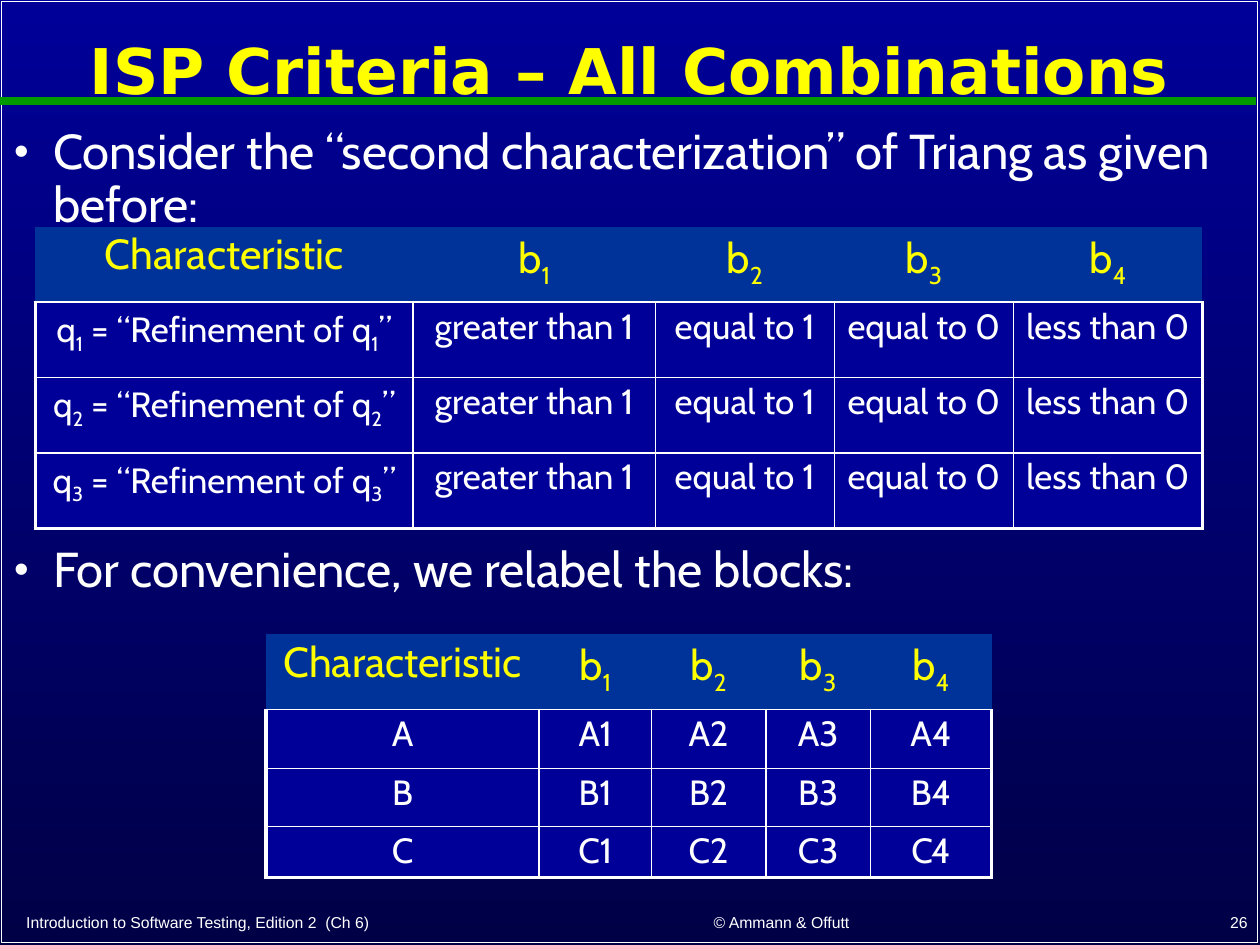
from lxml import etree
from pptx import Presentation
from pptx.dml.color import RGBColor
from pptx.enum.shapes import MSO_CONNECTOR, MSO_SHAPE
from pptx.enum.text import MSO_ANCHOR, MSO_AUTO_SIZE, PP_ALIGN
from pptx.oxml.ns import qn
from pptx.util import Cm, Pt

LEFT, CENTER, RIGHT = PP_ALIGN.LEFT, PP_ALIGN.CENTER, PP_ALIGN.RIGHT
TOP, MIDDLE, BOTTOM = MSO_ANCHOR.TOP, MSO_ANCHOR.MIDDLE, MSO_ANCHOR.BOTTOM

WHITE = RGBColor(0xFF, 0xFF, 0xFF)
YELLOW = RGBColor(0xFF, 0xFF, 0x00)
GREEN = RGBColor(0x00, 0x99, 0x00)
BLUE = RGBColor(0x00, 0x00, 0x99)
NAVY = RGBColor(0x00, 0x00, 0x47)
HEADER_BLUE = RGBColor(0x00, 0x33, 0x99)


def write_text(frame, text, size, font="Cabin", color=WHITE, bold=False,
               align=LEFT, anchor=TOP, spacing=None, before=None, bullet=False):
    """Write one paragraph; the character after each underscore is a subscript."""
    frame.word_wrap = True
    frame.auto_size = MSO_AUTO_SIZE.NONE
    frame.vertical_anchor = anchor
    paragraph = frame.paragraphs[0]
    paragraph.alignment = align
    if spacing:
        paragraph.line_spacing = spacing
    properties = paragraph._p.get_or_add_pPr()
    if before:
        space = etree.SubElement(properties, qn("a:spcBef"))
        etree.SubElement(space, qn("a:spcPct")).set("val", str(before * 1000))
    if bullet:
        properties.set("marL", str(Cm(0.79)))
        properties.set("indent", str(-Cm(0.79)))
        etree.SubElement(properties, qn("a:buSzPct")).set("val", "85000")
        etree.SubElement(properties, qn("a:buChar")).set("char", "•")

    first, *rest = text.split("_")
    pieces = [(first, False)]
    for part in rest:
        pieces += [(part[0], True), (part[1:], False)]
    for piece, subscript in pieces:
        if not piece:
            continue
        run = paragraph.add_run()
        run.text = piece
        run.font.size = Pt(size)
        run.font.name = font
        run.font.bold = bold
        run.font.color.rgb = color
        if subscript:
            run._r.get_or_add_rPr().set("baseline", "-25000")


def set_border(cell, side, width):
    """Draw one cell edge in white, or hide it when the width is 0."""
    line = etree.SubElement(cell._tc.get_or_add_tcPr(), qn(f"a:ln{side}"))
    line.set("w", str(Pt(width)))
    if width:
        fill = etree.SubElement(line, qn("a:solidFill"))
        etree.SubElement(fill, qn("a:srgbClr")).set("val", str(WHITE))
    else:
        etree.SubElement(line, qn("a:noFill"))


presentation = Presentation()
presentation.slide_width = Cm(25.4)
presentation.slide_height = Cm(19.05)
slide = presentation.slides.add_slide(presentation.slide_layouts[3])

# Background
background = slide.background.fill
background.gradient()
background.gradient_angle = 270
for stop, color in zip(background.gradient_stops, (BLUE, NAVY)):
    stop.color.rgb = color

# Frame and title rule, placed behind the text
frame = slide.shapes.add_shape(MSO_SHAPE.RECTANGLE, Cm(0.03), Cm(0.03), Cm(25.32), Cm(18.97))
frame.shadow.inherit = False
frame.fill.background()
frame.line.color.rgb = WHITE
frame.line.width = Pt(1)

rule = slide.shapes.add_connector(MSO_CONNECTOR.STRAIGHT, 0, Cm(2.03), Cm(25.32), Cm(2.03))
rule.line.color.rgb = GREEN
rule.line.width = Pt(4.5)
etree.SubElement(rule._element.spPr, qn("a:effectLst"))

for position, shape in enumerate((frame, rule), start=2):
    slide.shapes._spTree.insert(position, shape._element)

# Title and bullets
title, first_bullet, second_bullet = slide.placeholders
for shape, top, height in ((title, 0.28, 2.41), (first_bullet, 2.44, 2.92),
                           (second_bullet, 10.87, 1.93)):
    shape.left, shape.top = Cm(0.03), Cm(top)
    shape.width, shape.height = Cm(25.32), Cm(height)

write_text(title.text_frame, "ISP Criteria – All Combinations", 36, font="DejaVu Sans",
           color=YELLOW, bold=True, align=CENTER, anchor=MIDDLE, spacing=0.9)
for shape, text in (
    (first_bullet, "Consider the “second characterization” of Triang as given before:"),
    (second_bullet, "For convenience, we relabel the blocks:"),
):
    write_text(shape.text_frame, text, 28, spacing=0.9, before=30, bullet=True)

# Tables
header = ["Characteristic"] + [f"b_{n}" for n in range(1, 5)]
blocks = ["greater than 1", "equal to 1", "equal to 0", "less than 0"]
refinements = [[f"q_{n} = “Refinement of q_{n}”"] + blocks for n in range(1, 4)]
labels = [[letter] + [f"{letter}{n}" for n in range(1, 5)] for letter in "ABC"]

for left, top, widths, heights, body in (
    (0.71, 4.57, (7.62, 4.88, 3.61, 3.61, 3.81), (1.52,) * 4, refinements),
    (5.36, 12.78, (5.51, 2.26, 2.31, 2.11, 2.44), (1.52, 1.19, 1.17, 1.02), labels),
):
    rows = [header] + body
    table = slide.shapes.add_table(len(rows), len(header), Cm(left), Cm(top),
                                   Cm(sum(widths)), Cm(sum(heights))).table
    table.first_row = table.horz_banding = False
    for column, width in zip(table.columns, widths):
        column.width = Cm(width)
    for row, height in zip(table.rows, heights):
        row.height = Cm(height)

    last_row, last_column = len(rows) - 1, len(header) - 1
    for r, texts in enumerate(rows):
        for c, text in enumerate(texts):
            cell = table.cell(r, c)
            is_header = r == 0
            if is_header:
                borders = {"L": 0, "R": 0, "T": 0, "B": 1}
            else:
                borders = {"L": 2.25 if c == 0 else 1,
                           "R": 2.25 if c == last_column else 1,
                           "T": 1,
                           "B": 2.25 if r == last_row else 1}
            for side, width in borders.items():
                set_border(cell, side, width)
            cell.fill.solid()
            cell.fill.fore_color.rgb = HEADER_BLUE if is_header else BLUE
            write_text(cell.text_frame, text, 24 if is_header else 20,
                       color=YELLOW if is_header else WHITE,
                       align=CENTER, spacing=0.9, before=30)

# Footer
for left, width, align, text in (
    (0.28, 10.95, LEFT, "Introduction to Software Testing, Edition 2\u00a0 (Ch 6)"),
    (11.73, 8.05, CENTER, "© Ammann & Offutt"),
    (20.12, 5.28, RIGHT, "26"),
):
    box = slide.shapes.add_textbox(Cm(left), Cm(18.2), Cm(width), Cm(0.7))
    write_text(box.text_frame, text, 9, font="Arial", align=align, anchor=BOTTOM)

presentation.save("out.pptx")
